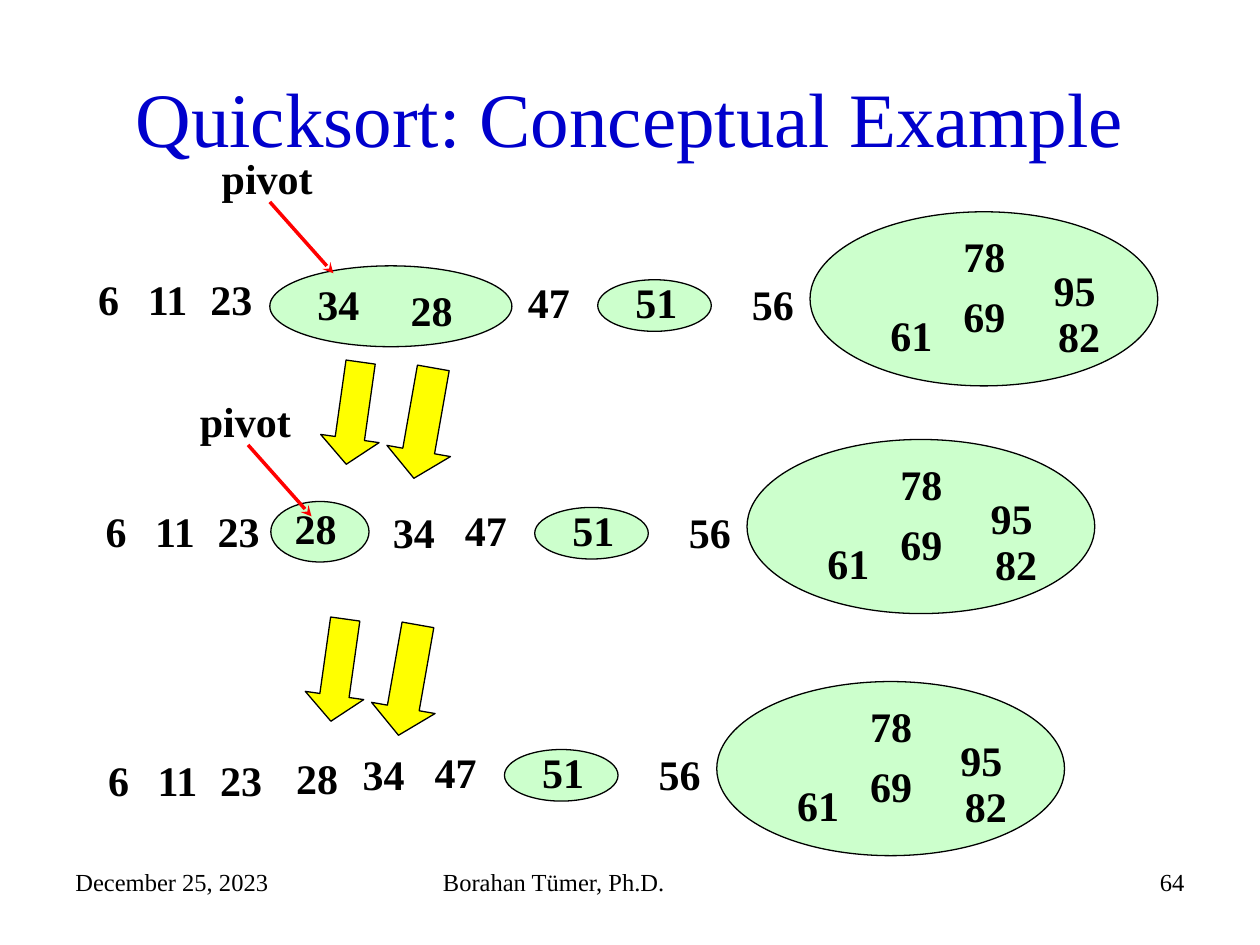
from lxml import etree
from pptx import Presentation
from pptx.dml.color import RGBColor
from pptx.enum.shapes import MSO_CONNECTOR, MSO_SHAPE
from pptx.enum.text import MSO_ANCHOR, MSO_AUTO_SIZE, PP_ALIGN
from pptx.oxml.ns import qn
from pptx.util import Cm, Pt

COLORS = {
    "title": "0000CC",
    "text": "000000",
    "outline": "000000",
    "partition": "CCFFCC",
    "step": "FFFF00",
    "pivot": "FF0000",
}
FONT = "Times New Roman"


def color(name):
    return RGBColor.from_string(COLORS[name])


def add_text(slide, text, x, y, w, h, size, bold=False, fill="text",
             align=PP_ALIGN.LEFT, anchor=MSO_ANCHOR.TOP, wrap=True):
    tf = slide.shapes.add_textbox(Cm(x), Cm(y), Cm(w), Cm(h)).text_frame
    tf.word_wrap = wrap
    tf.auto_size = MSO_AUTO_SIZE.NONE if wrap else MSO_AUTO_SIZE.SHAPE_TO_FIT_TEXT
    tf.vertical_anchor = anchor
    p = tf.paragraphs[0]
    p.text = text
    p.alignment = align
    p.font.name, p.font.size, p.font.bold = FONT, Pt(size), bold
    p.font.color.rgb = color(fill)


def add_label(slide, text, x, y, w=1.35):
    add_text(slide, text, x, y, w, 1.27, 24, bold=True, wrap=False)


def add_numbers(slide, x, y, numbers):
    """Place (number, dx, dy) items relative to (x, y)."""
    for number, dx, dy in numbers:
        add_label(slide, str(number), x + dx, y + dy, 1.35 if number > 9 else 0.94)


def add_outlined(slide, kind, x, y, w, h, fill):
    sp = slide.shapes.add_shape(kind, Cm(x), Cm(y), Cm(w), Cm(h))
    sp.shadow.inherit = False
    sp.fill.solid()
    sp.fill.fore_color.rgb = color(fill)
    sp.line.color.rgb = color("outline")
    sp.line.width = Pt(0.75)
    return sp


def add_partition(slide, x, y, w, h):
    add_outlined(slide, MSO_SHAPE.OVAL, x, y, w, h, "partition")


def add_sorted_prefix(slide, x, y):
    add_numbers(slide, x, y, [(6, 0, 0), (11, 1, 0), (23, 2.26, 0)])


def add_upper_part(slide, x, y):
    """The large partition at (x, y) with 47, 51 and 56 to its left."""
    add_partition(slide, x, y, 7.01, 3.51)
    add_partition(slide, x - 4.28, y + 1.37, 2.29, 1.04)
    add_numbers(slide, x, y, [
        (47, -5.94, 1.18), (51, -3.77, 1.18), (56, -1.42, 1.22),
        (61, 1.37, 1.85), (69, 2.84, 1.47), (78, 2.84, 0.25),
        (82, 4.75, 1.87), (95, 4.66, 0.94),
    ])


def add_pivot(slide, x, y):
    add_label(slide, "pivot", x, y, 2.34)
    line = slide.shapes.add_connector(
        MSO_CONNECTOR.STRAIGHT,
        Cm(x + 1.22), Cm(y + 1.12), Cm(x + 2.5), Cm(y + 2.56))
    line.line.color.rgb = color("pivot")
    line.line.width = Pt(2)
    etree.SubElement(line.line._get_or_add_ln(), qn("a:tailEnd"), type="stealth")
    etree.SubElement(line._element.spPr, qn("a:effectLst"))


def add_step_arrows(slide, x, y):
    for dx, dy, w, h, angle, head in [(0, 0, 1.19, 2.08, 8, 0.44),
                                      (1.36, 0.11, 1.3, 2.26, 10, 0.43)]:
        sp = add_outlined(slide, MSO_SHAPE.DOWN_ARROW, x + dx, y + dy, w, h, "step")
        sp.rotation = angle
        sp.adjustments[1] = head


def add_row(slide, prefix, lower, middle, upper, pivot=None):
    """One sorting stage: prefix, lower partition, loose numbers, upper part."""
    add_sorted_prefix(slide, *prefix)
    if lower:
        add_partition(slide, *lower)
    add_numbers(slide, 0, 0, middle)
    add_upper_part(slide, *upper)
    if pivot:
        add_pivot(slide, *pivot)


def add_footer(slide, x, y):
    for text, dx, w, align in [
        ("December 25, 2023", 0, 5.93, PP_ALIGN.LEFT),
        ("Borahan Tümer, Ph.D.", 7.41, 8.04, PP_ALIGN.LEFT),
        ("64", 16.93, 5.93, PP_ALIGN.RIGHT),
    ]:
        add_text(slide, text, x + dx, y, w, 1.32, 14, align=align)


def main():
    prs = Presentation()
    prs.slide_width, prs.slide_height = Cm(25.4), Cm(19.05)
    slide = prs.slides.add_slide(prs.slide_layouts[6])

    # Title and footer
    add_text(slide, "Quicksort: Conceptual Example", 1.27, 0.76, 22.86, 3.18, 44,
             fill="title", align=PP_ALIGN.CENTER, anchor=MSO_ANCHOR.MIDDLE)
    add_footer(slide, 1.27, 17.35)

    # Sorting stages
    add_row(slide, (1.73, 5.38), (5.44, 5.36, 4.88, 1.63),
            [(34, 6.15, 5.49), (28, 8.03, 5.61)], (16.33, 4.27), (4.22, 2.95))
    add_row(slide, (1.88, 10.06), (5.46, 10.11, 1.98, 1.22),
            [(28, 5.69, 10.01), (34, 7.67, 10.08)], (15.06, 8.86), (3.78, 7.85))
    add_row(slide, (1.93, 15.09), None,
            [(28, 5.72, 15.04), (34, 7.06, 14.96)], (14.45, 13.74))

    # Arrows between the stages
    add_step_arrows(slide, 6.53, 7.29)
    add_step_arrows(slide, 6.22, 12.47)

    prs.save("out.pptx")


if __name__ == "__main__":
    main()
